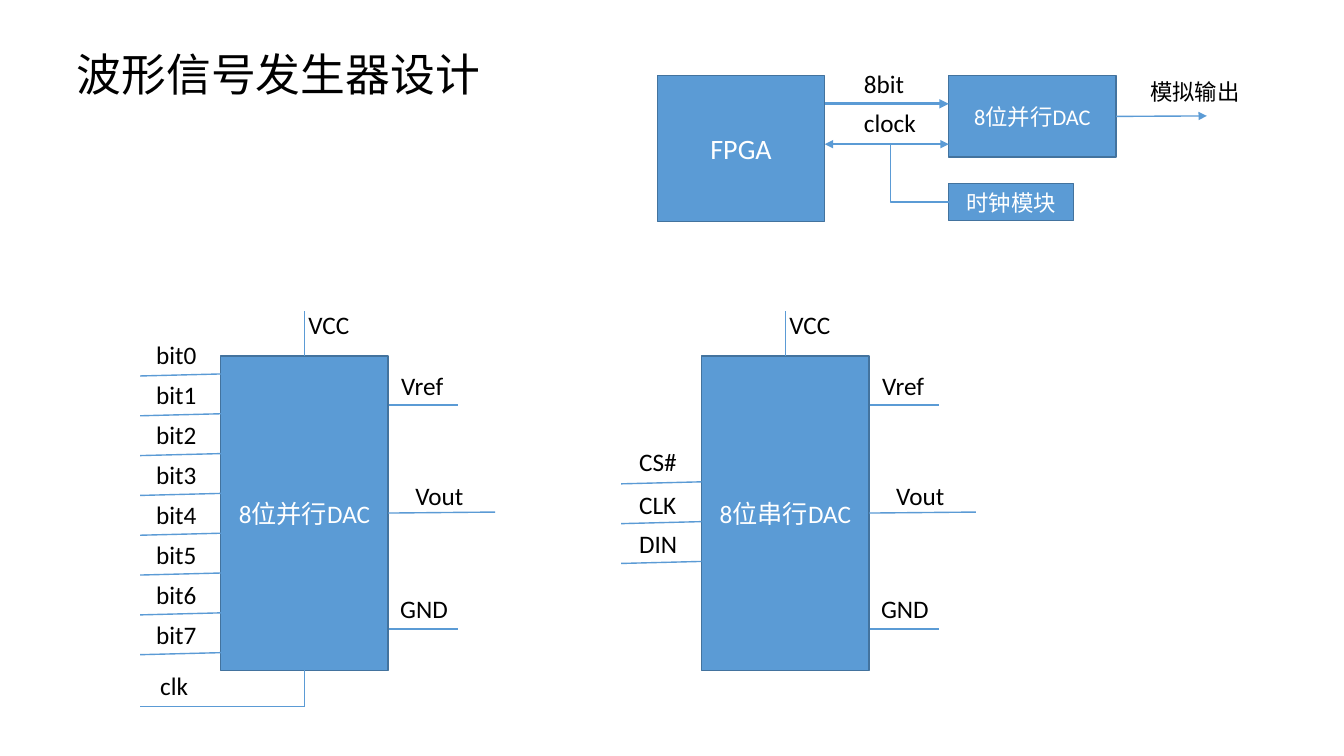
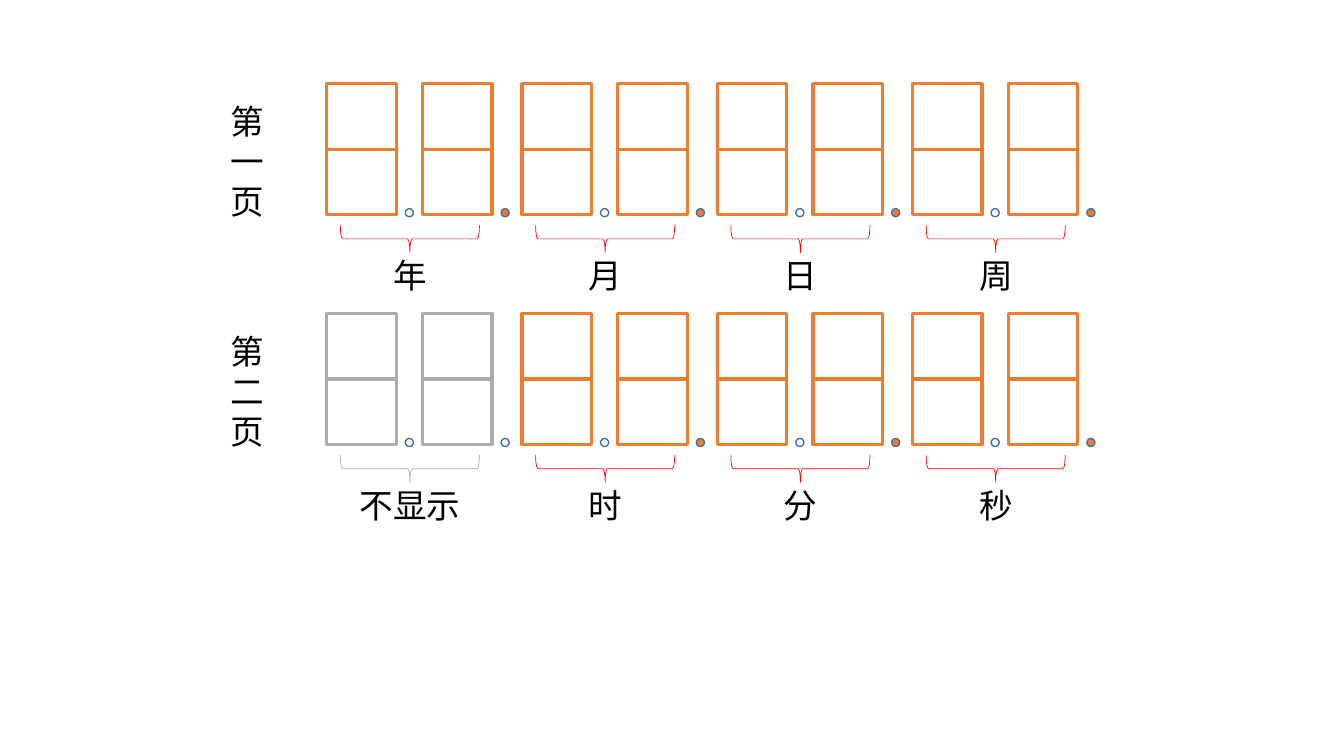
from pptx import Presentation
from pptx.dml.color import RGBColor
from pptx.enum.shapes import MSO_CONNECTOR as Link, MSO_SHAPE as Kind
from pptx.enum.text import MSO_ANCHOR as Anchor, MSO_AUTO_SIZE as Fit, PP_ALIGN as Align
from pptx.oxml.ns import qn
from pptx.util import Inches, Pt
from lxml.etree import SubElement

BLUE = RGBColor(0x5B, 0x9B, 0xD5)
EDGE = RGBColor(0x43, 0x73, 0x9E)
ORANGE = RGBColor(0xED, 0x7D, 0x31)
GRAY = RGBColor(0xAF, 0xAB, 0xAB)
RED = RGBColor(0xFF, 0x00, 0x00)
BLACK = RGBColor(0, 0, 0)
WHITE = RGBColor(0xFF, 0xFF, 0xFF)
FONT = "Calibri"

TITLE = "波形信号发生器设计"
CHIPS = [
    {"name": "8位并行DAC", "left": 2.19, "first": 3.71, "shift": 0.74, "wide": 0.61,
     "pins": [(f"bit{i}", 3.32 + 0.396 * i) for i in range(8)]},
    {"name": "8位串行DAC", "left": 6.96, "first": 4.78, "shift": 0.72, "wide": 0.58,
     "pins": [("CS#", 4.38), ("CLK", 4.81), ("DIN", 5.19)]},
]
CHIP_TOP, CHIP_W, CHIP_H = 3.53, 1.66, 3.12
PIN_GAP = 0.395
PORTS = [("VCC", 0.77, 3.02, 0.61), ("Vref", 1.69, 3.62, 0.63),
         ("Vout", 1.83, 4.72, 0.69), ("GND", 1.68, 5.84, 0.68)]
BLOCKS = [("FPGA", 6.52, 0.75, 1.66, 1.45, 20),
          ("8位并行DAC", 9.41, 0.75, 1.66, 0.81, 16),
          ("时钟模块", 9.41, 1.82, 1.24, 0.37, 16)]
NOTES = [("8bit", 8.47, 0.63, 0.61, 0.4, 18),
         ("clock", 8.47, 1.02, 0.72, 0.4, 18),
         ("模拟输出", 11.31, 0.73, 1.1, 0.37, 16)]

ROWS = [
    ("第一页", [("年", True), ("月", True), ("日", True), ("周", True)]),
    ("第二页", [("不显示", False), ("时", True), ("分", True), ("秒", True)]),
]
ROW_TOP, ROW_GAP = 0.83, 2.28
PAIR_LEFT, PAIR_GAP, DIGIT_GAP = 3.24, 5.81 / 3, 0.95
CELL_W, CELL_H, DOT = 0.69, 0.65, 0.08


def write(frame, text, size=18, color=BLACK, align=Align.LEFT, anchor=Anchor.TOP,
          wrap=False, fit=Fit.SHAPE_TO_FIT_TEXT):
    frame.word_wrap = wrap
    frame.auto_size = fit
    frame.vertical_anchor = anchor
    frame.text = text
    for para in frame.paragraphs:
        para.alignment = align
        font = para.font
        font.name, font.size, font.color.rgb = FONT, Pt(size), color


def label(slide, text, x, y, w, h=0.4, **style):
    box = slide.shapes.add_textbox(Inches(x), Inches(y), Inches(w), Inches(h))
    write(box.text_frame, text, **style)


def shape(slide, kind, x, y, w, h, line, width=1.0, fill=None):
    item = slide.shapes.add_shape(kind, Inches(x), Inches(y), Inches(w), Inches(h))
    item.shadow.inherit = False
    item.line.color.rgb = line
    item.line.width = Pt(width)
    if fill is None:
        item.fill.background()
    else:
        item.fill.solid()
        item.fill.fore_color.rgb = fill
    return item


def block(slide, text, x, y, w, h, size=18):
    item = shape(slide, Kind.RECTANGLE, x, y, w, h, EDGE, fill=BLUE)
    write(item.text_frame, text, size=size, color=WHITE, align=Align.CENTER,
          anchor=Anchor.MIDDLE, wrap=True, fit=Fit.NONE)
    return item


def wire(slide, x1, y1, x2, y2, width=1.0, ends=(), join=None, kind=Link.STRAIGHT):
    line = slide.shapes.add_connector(kind, Inches(x1), Inches(y1), Inches(x2), Inches(y2))
    if join:
        line.begin_connect(*join)
    line.line.color.rgb = BLUE
    line.line.width = Pt(width)
    for end in ends:
        SubElement(line.line._get_or_add_ln(), qn(f"a:{end}"), type="triangle")
    SubElement(line._element.spPr, qn("a:effectLst"))
    return line


def draw_chip(slide, chip):
    left = chip["left"]
    mid, right = left + CHIP_W / 2, left + CHIP_W
    body = block(slide, chip["name"], left, CHIP_TOP, CHIP_W, CHIP_H)
    for i, (pin, top) in enumerate(chip["pins"]):
        y = chip["first"] + PIN_GAP * i
        wire(slide, left, y, left - 0.8, y + 0.02)
        label(slide, pin, left - chip["shift"], top, chip["wide"])
    wire(slide, mid, CHIP_TOP, mid, 3.09, join=(body, 0))
    wire(slide, right, 5.09, right + 1.06, 5.08, join=(body, 3))
    for y in (4.02, 6.24):
        wire(slide, right + 0.01, y, right + 0.69, y)
    for port, dx, top, wide in PORTS:
        label(slide, port, left + dx, top, wide)
    return body


def draw_clock(slide, body):
    wire(slide, 3.02, 6.65, 3.02, 7.01, join=(body, 2))
    wire(slide, 3.02, 7.01, 1.39, 7.01)
    label(slide, "clk", 1.49, 6.6, 0.48)


def draw_flow(slide):
    fpga, dac, clock = [block(slide, *spec) for spec in BLOCKS]
    wire(slide, 9.41, 1.43, 8.18, 1.43, ends=("headEnd", "tailEnd"))
    wire(slide, 9.41, 1.03, 8.18, 1.03, width=2.25, ends=("headEnd",))
    wire(slide, 11.07, 1.15, 11.97, 1.15, ends=("tailEnd",), join=(dac, 3))
    bend = wire(slide, 9.41, 2.01, 8.83, 1.42, join=(clock, 1), kind=Link.ELBOW)
    props = bend._element.spPr
    props.find(qn("a:prstGeom")).set("prst", "bentConnector2")
    frame = props.find(qn("a:xfrm"))
    for flip in ("flipH", "flipV"):
        frame.attrib.pop(flip, None)
    frame.set("rot", "10800000")
    for text, x, y, w, h, size in NOTES:
        label(slide, text, x, y, w, h, size=size)


def draw_pair(slide, x, y, text, lit):
    color = ORANGE if lit else GRAY
    for i in range(2):
        left = x + DIGIT_GAP * i
        for j in range(2):
            shape(slide, Kind.RECTANGLE, left, y + CELL_H * j, CELL_W, CELL_H, color, 2.25)
        shape(slide, Kind.OVAL, left + 0.78, y + 1.24, DOT, DOT, EDGE,
              fill=ORANGE if lit and i else None)
    brace = shape(slide, Kind.RIGHT_BRACE, x + 0.69, y + 0.85, 0.27, 1.38,
                  RED if lit else GRAY, 0.5)
    brace.rotation = 90
    wide = 0.2 + len(text) / 3
    label(slide, text, x + 0.83 - wide / 2, y + 1.65, wide, 0.5, size=24)


def main():
    deck = Presentation()
    deck.slide_width, deck.slide_height = Inches(13.33), Inches(7.5)

    design = deck.slides.add_slide(deck.slide_layouts[5])
    title = design.shapes.title
    title.left, title.top = Inches(0.66), Inches(0.41)
    title.width, title.height = Inches(4.24), Inches(0.64)
    write(title.text_frame, TITLE, size=32)
    bodies = [draw_chip(design, chip) for chip in CHIPS]
    draw_clock(design, bodies[0])
    draw_flow(design)

    panel = deck.slides.add_slide(deck.slide_layouts[6])
    for i, (page, pairs) in enumerate(ROWS):
        y = ROW_TOP + ROW_GAP * i
        label(panel, "\n".join(page), 2.19, y + 0.12, 0.54, 1.31, size=24)
        for j, (text, lit) in enumerate(pairs):
            draw_pair(panel, PAIR_LEFT + PAIR_GAP * j, y, text, lit)

    deck.save("out.pptx")


if __name__ == "__main__":
    main()
